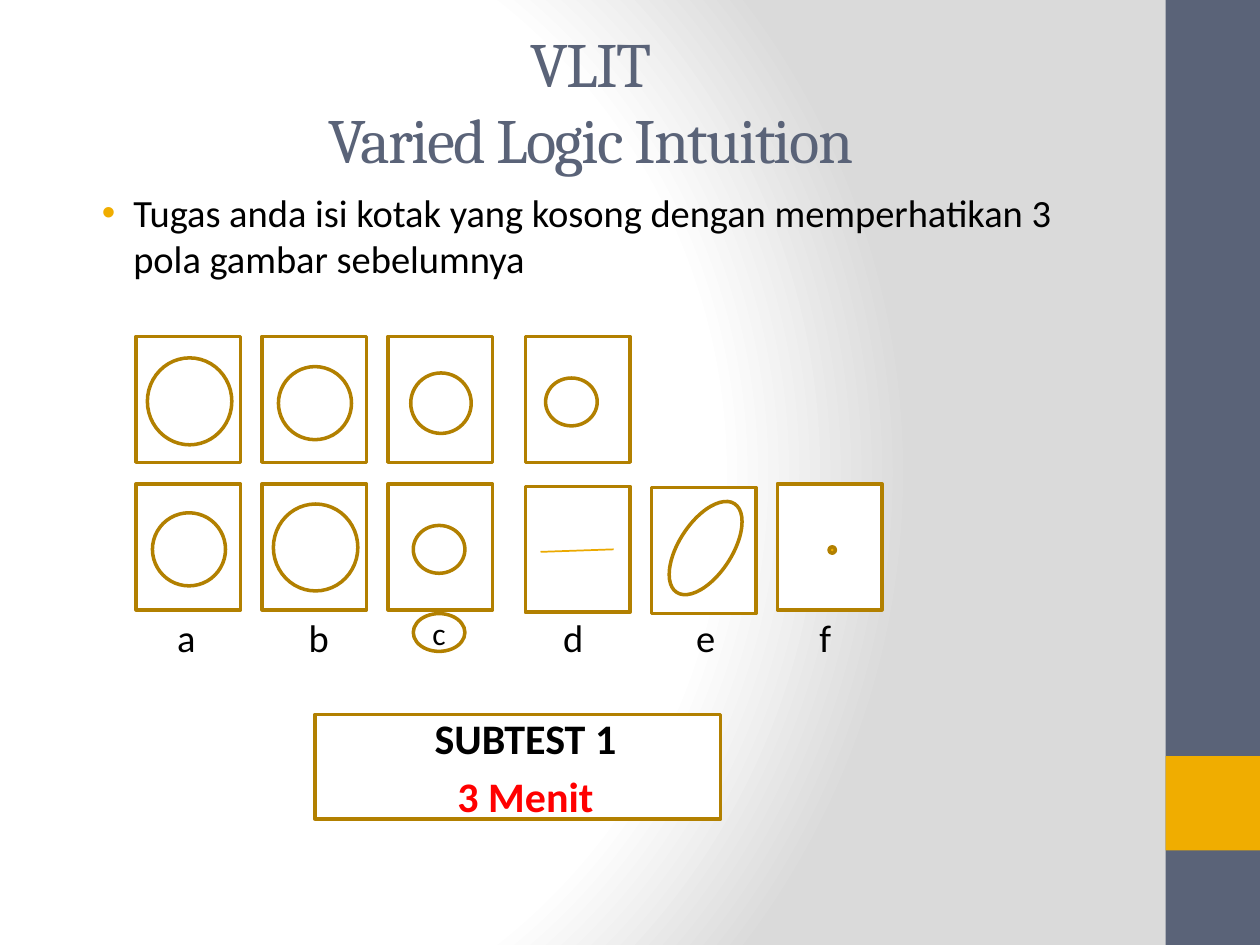
"""Build the VLIT subtest 1 slide with its example row and answer options."""
from lxml.etree import SubElement
from pptx import Presentation
from pptx.dml.color import RGBColor
from pptx.enum.shapes import MSO_CONNECTOR, MSO_SHAPE
from pptx.enum.text import MSO_ANCHOR, PP_ALIGN
from pptx.oxml import parse_xml
from pptx.oxml.ns import nsdecls, qn
from pptx.util import Inches, Pt

SLATE = RGBColor(0x5A, 0x63, 0x78)
AMBER = RGBColor(0xF0, 0xAD, 0x00)
BRONZE = RGBColor(0xB2, 0x80, 0x00)
STROKE = RGBColor(0xEB, 0xA9, 0x00)
WHITE = RGBColor(0xFF, 0xFF, 0xFF)
GREY = RGBColor(0xDA, 0xDA, 0xDA)
BLACK = RGBColor(0x00, 0x00, 0x00)
RED = RGBColor(0xFF, 0x00, 0x00)

WIDTH, HEIGHT = 10, 7.5
SIDEBAR = 0.075 * WIDTH
CONTENT_LEFT, CONTENT_WIDTH = 0.58, 8.33
CELL_WIDTH, CELL_HEIGHT = 0.83, 1
COLUMNS = [1.08 + i + (0.09 if i > 2 else 0) for i in range(6)]
EXAMPLE_ROW, OPTION_ROW, LABEL_ROW = 2.67, 3.84, 4.87
CIRCLE = MSO_SHAPE.FLOWCHART_CONNECTOR

deck = Presentation()
deck.slide_width, deck.slide_height = Inches(WIDTH), Inches(HEIGHT)
slide = deck.slides.add_slide(deck.slide_layouts[6])


def add_figure(kind, left, top, width, height, fill=WHITE, line=BRONZE):
    figure = slide.shapes.add_shape(
        kind, Inches(left), Inches(top), Inches(width), Inches(height))
    figure.shadow.inherit = False
    figure.fill.solid()
    figure.fill.fore_color.rgb = fill
    if line is None:
        figure.line.fill.background()
    else:
        figure.line.color.rgb = line
        figure.line.width = Pt(2)
    return figure


def write(frame, text, size=22, color=BLACK, font="Calibri", bold=False,
          align=PP_ALIGN.CENTER, before=0, indent=0, first=True):
    paragraph = frame.paragraphs[0] if first else frame.add_paragraph()
    paragraph.text = text
    paragraph.alignment = align
    paragraph.space_before = Pt(before)
    paragraph._p.get_or_add_pPr().set("marL", str(Inches(indent)))
    for run in paragraph.runs:
        run.font.size, run.font.name, run.font.bold = Pt(size), font, bold
        run.font.color.rgb = color
    return paragraph


slide.background.fill.gradient()
gradient = slide.element.find(".//" + qn("a:gradFill"))
stops = "".join(
    f'<a:gs pos="{share * 1000}"><a:srgbClr val="{color}"/></a:gs>'
    for share, color in ((0, WHITE), (75, WHITE), (100, GREY)))
gradient.getparent().replace(gradient, parse_xml(
    f'<a:gradFill {nsdecls("a")} rotWithShape="1"><a:gsLst>{stops}</a:gsLst>'
    '<a:path path="circle"><a:fillToRect l="20000" t="50000" r="100000" b="50000"/>'
    '</a:path></a:gradFill>'))

add_figure(MSO_SHAPE.RECTANGLE, WIDTH - SIDEBAR, 0, SIDEBAR, HEIGHT, SLATE, None)
add_figure(MSO_SHAPE.RECTANGLE, WIDTH - SIDEBAR, 0.8 * HEIGHT, SIDEBAR, SIDEBAR, AMBER, None)

title = slide.shapes.add_textbox(
    Inches(CONTENT_LEFT), Inches(0.17), Inches(CONTENT_WIDTH), Inches(1.25)).text_frame
title.word_wrap = True
title.vertical_anchor = MSO_ANCHOR.MIDDLE
title.margin_right = Inches(0.21)
heading = write(title, "VLIT\vVaried Logic Intuition", size=36, color=SLATE, font="Cambria")
for run in heading.runs:
    run.font._element.set("spc", "-100")

task = slide.shapes.add_textbox(
    Inches(CONTENT_LEFT), Inches(1.45), Inches(CONTENT_WIDTH), Inches(0.7 * HEIGHT)).text_frame
task.word_wrap = True
instruction = write(
    task, "Tugas anda isi kotak yang kosong dengan memperhatikan 3 pola gambar sebelumnya",
    align=PP_ALIGN.LEFT, before=4.4, indent=0.38)
bullet = instruction._p.get_or_add_pPr()
bullet.set("indent", str(Inches(-0.25)))
SubElement(SubElement(bullet, qn("a:buClr")), qn("a:srgbClr")).set("val", str(AMBER))
SubElement(bullet, qn("a:buFont")).set("typeface", "Arial")
SubElement(bullet, qn("a:buChar")).set("char", "•")

for left in COLUMNS[:4]:
    add_figure(MSO_SHAPE.RECTANGLE, left, EXAMPLE_ROW, CELL_WIDTH, CELL_HEIGHT)
for left, drop in zip(COLUMNS, (0, 0, 0, 0.02, 0.03, 0)):
    add_figure(MSO_SHAPE.RECTANGLE, left, OPTION_ROW + drop, CELL_WIDTH, CELL_HEIGHT)

for column, row, dx, dy, width, height in (
        (0, EXAMPLE_ROW, 0.09, 0.17, 0.67, 0.69),
        (1, EXAMPLE_ROW, 0.13, 0.24, 0.58, 0.58),
        (2, EXAMPLE_ROW, 0.18, 0.29, 0.48, 0.48),
        (3, EXAMPLE_ROW, 0.16, 0.33, 0.41, 0.38),
        (0, OPTION_ROW, 0.13, 0.23, 0.58, 0.58),
        (1, OPTION_ROW, 0.09, 0.16, 0.67, 0.69),
        (2, OPTION_ROW, 0.2, 0.33, 0.41, 0.38)):
    add_figure(CIRCLE, COLUMNS[column] + dx, row + dy, width, height)

stroke = slide.shapes.add_connector(
    MSO_CONNECTOR.STRAIGHT, Inches(COLUMNS[3] + 0.12), Inches(OPTION_ROW + 0.54),
    Inches(COLUMNS[3] + 0.7), Inches(OPTION_ROW + 0.52))
stroke.line.color.rgb = STROKE
stroke.line.width = Pt(1)
SubElement(stroke._element.spPr, qn("a:effectLst"))

tilted_oval = add_figure(MSO_SHAPE.OVAL, COLUMNS[4] + 0.22, OPTION_ROW + 0.09, 0.42, 0.84)
tilted_oval.rotation = 33.1
add_figure(CIRCLE, COLUMNS[5] + 0.41, OPTION_ROW + 0.5, 0.05, 0.05, AMBER)

for letter, center in zip("abdef", (1.48, 2.53, 4.55, 5.6, 6.55)):
    label = slide.shapes.add_textbox(
        Inches(center - 0.2), Inches(LABEL_ROW), Inches(0.4), Inches(0.37)).text_frame
    label.margin_left = label.margin_right = label.margin_top = label.margin_bottom = 0
    label.word_wrap = True
    write(label, letter)

answer = add_figure(CIRCLE, COLUMNS[2] + 0.2, LABEL_ROW, 0.41, 0.3).text_frame
answer.margin_left = answer.margin_right = answer.margin_top = answer.margin_bottom = 0
answer.word_wrap = False
answer.vertical_anchor = MSO_ANCHOR.MIDDLE
write(answer, "c", size=18)

subtest = add_figure(MSO_SHAPE.RECTANGLE, 0.25 * WIDTH, 5.67, 3.22, 0.83).text_frame
subtest.word_wrap = True
subtest.vertical_anchor = MSO_ANCHOR.MIDDLE
write(subtest, "SUBTEST 1", size=24, bold=True, before=4.8, indent=0.12)
write(subtest, "3 Menit", size=24, color=RED, bold=True, before=4.8, indent=0.12, first=False)

deck.save("out.pptx")
